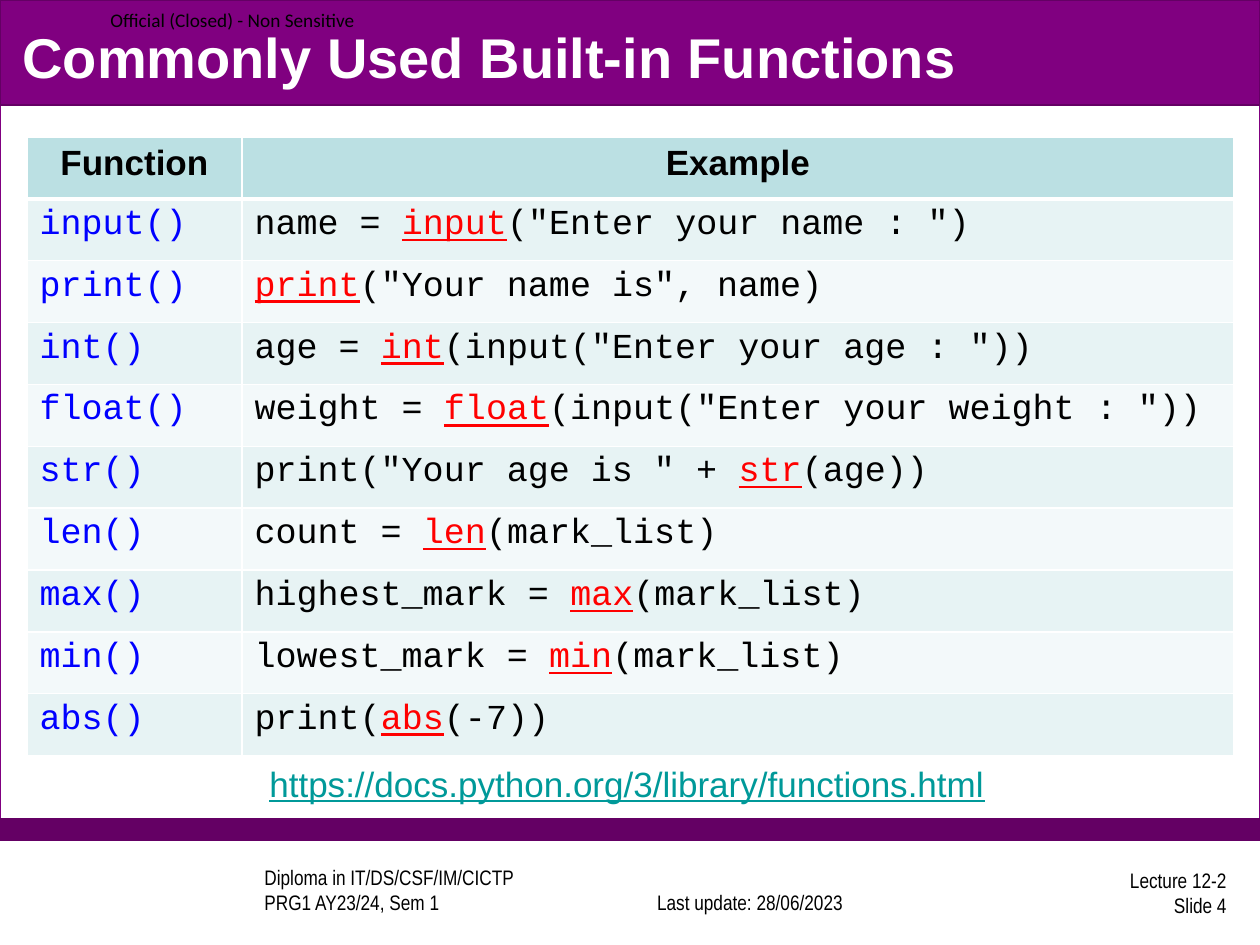
from lxml import etree
from pptx import Presentation
from pptx.dml.color import RGBColor
from pptx.enum.shapes import MSO_SHAPE
from pptx.enum.text import MSO_ANCHOR, PP_ALIGN
from pptx.oxml.ns import qn
from pptx.util import Emu, Pt

RECTANGLE = MSO_SHAPE.RECTANGLE
LEFT, CENTER, RIGHT = PP_ALIGN.LEFT, PP_ALIGN.CENTER, PP_ALIGN.RIGHT
TOP, MIDDLE, BOTTOM = MSO_ANCHOR.TOP, MSO_ANCHOR.MIDDLE, MSO_ANCHOR.BOTTOM
SCALE = 914400 / 126

PURPLE, DARK_PURPLE = "800080", "640064"
WHITE, BLACK, BLUE, RED, TEAL = "FFFFFF", "000000", "0000FF", "FF0000", "009999"
HEADER_FILL, BAND_FILLS = "BBE0E3", ("E7F3F4", "F3F9FA")

FUNCTIONS = [
    ("input", 'name = input("Enter your name : ")'),
    ("print", 'print("Your name is", name)'),
    ("int", 'age = int(input("Enter your age : "))'),
    ("float", 'weight = float(input("Enter your weight : "))'),
    ("str", 'print("Your age is " + str(age))'),
    ("len", "count = len(mark_list)"),
    ("max", "highest_mark = max(mark_list)"),
    ("min", "lowest_mark = min(mark_list)"),
    ("abs", "print(abs(-7))"),
]


def px(length):
    """Turn pixels into EMU."""
    return Emu(round(length * SCALE))


def color(hex_string):
    """Turn a hex string into a colour."""
    return RGBColor.from_string(hex_string)


def format_font(font, name, size, hex_string, bold=False, underline=False):
    """Set the look of a font."""
    font.name = name
    font.size = Pt(size)
    font.bold = bold
    font.underline = underline
    font.color.rgb = color(hex_string)


def add_band(slide, box, fill, line):
    """Draw a plain rectangle and return it."""
    shape = slide.shapes.add_shape(RECTANGLE, *map(px, box))
    shape.shadow.inherit = False
    shape.fill.solid()
    shape.fill.fore_color.rgb = color(fill)
    shape.line.color.rgb = color(line)
    shape.line.width = Pt(0.75)
    return shape


def add_text(slide, box, text, name, size, hex_string, align=LEFT, anchor=MIDDLE,
             bold=False, underline=False):
    """Place one paragraph of text in a box."""
    frame = slide.shapes.add_textbox(*map(px, box)).text_frame
    frame.word_wrap = True
    frame.vertical_anchor = anchor
    paragraph = frame.paragraphs[0]
    paragraph.text = text
    paragraph.alignment = align
    for run in paragraph.runs:
        format_font(run.font, name, size, hex_string, bold, underline)


def add_frame(slide, left, top, width, height):
    """Draw the outlined page area and the bar along its foot."""
    page = add_band(slide, (left, top, width, height), WHITE, PURPLE)
    fill_color = page.fill._xPr.find(qn("a:solidFill"))[0]
    etree.SubElement(fill_color, qn("a:alpha"), val="90000")
    add_band(slide, (left, top + height - 21, width, 21), DARK_PURPLE, DARK_PURPLE)


def add_header(slide, left, top, width, height):
    """Draw the title bar with its classification label."""
    add_band(slide, (left, top, width, height), PURPLE, DARK_PURPLE)
    add_text(slide, (left + 98, top, 300, 39), "Official (Closed) - Non Sensitive",
             "Calibri", 11, BLACK)
    add_text(slide, (left + 10, top + 17, width - 21, 78),
             "Commonly Used Built-in Functions", "Arial", 32, WHITE, bold=True)


def add_footer(slide, left, top):
    """Place the course, date and page notes."""
    notes = [
        (252, 2, 336, "Diploma in IT/DS/CSF/IM/CICTP\nPRG1 AY23/24, Sem 1", LEFT, BOTTOM),
        (619, 2, 262, "Last update: 28/06/2023", CENTER, BOTTOM),
        (976, 0, 263, "Lecture 12-2\nSlide 4", RIGHT, MIDDLE),
    ]
    for x, y, width, text, align, anchor in notes:
        add_text(slide, (left + x, top + y, width, 53), text, "Arial Narrow", 12,
                 BLACK, align, anchor)


def style_cell(cell, fill, top_width, bottom_width):
    """Give a cell white borders and a fill."""
    properties = cell._tc.get_or_add_tcPr()
    for side, width in (("L", 1), ("R", 1), ("T", top_width), ("B", bottom_width)):
        border = etree.SubElement(properties, qn(f"a:ln{side}"), w=str(Pt(width)))
        solid = etree.SubElement(border, qn("a:solidFill"))
        etree.SubElement(solid, qn("a:srgbClr"), val=WHITE)
    cell.fill.solid()
    cell.fill.fore_color.rgb = color(fill)


def fill_cell(cell, parts, name, align=LEFT, bold=False):
    """Write coloured parts into a cell, underlining the red ones."""
    paragraph = cell.text_frame.paragraphs[0]
    paragraph.alignment = align
    paragraph.space_before = paragraph.space_after = Pt(3)
    for text, hex_string in parts:
        if text:
            run = paragraph.add_run()
            run.text = text
            format_font(run.font, name, 20, hex_string, bold, hex_string == RED)


def add_function_table(slide, left, top, width, height):
    """Build the table of functions and their examples."""
    table = slide.shapes.add_table(len(FUNCTIONS) + 1, 2, *map(px, (left, top, width, height))).table
    table.horz_banding = False
    table.columns[0].width = px(215)
    table.columns[1].width = px(width - 215)
    for column, heading in enumerate(("Function", "Example")):
        cell = table.cell(0, column)
        style_cell(cell, HEADER_FILL, 1, 3)
        fill_cell(cell, [(heading, BLACK)], "Arial", CENTER, True)
    for row, (function, example) in enumerate(FUNCTIONS, 1):
        before, called, after = example.partition(function)
        contents = ([(f"{function}()", BLUE)],
                    [(before, BLACK), (called, RED), (after, BLACK)])
        for column, parts in enumerate(contents):
            cell = table.cell(row, column)
            style_cell(cell, BAND_FILLS[(row - 1) % 2], 3 if row == 1 else 1, 1)
            fill_cell(cell, parts, "Courier New")


def main():
    """Build and save the slide."""
    presentation = Presentation()
    presentation.slide_width, presentation.slide_height = px(1260), px(945)
    slide = presentation.slides.add_slide(presentation.slide_layouts[6])
    add_frame(slide, 0, 0, 1260, 840)
    add_header(slide, 0, 0, 1260, 105)
    add_footer(slide, 0, 866)
    add_function_table(slide, 27, 137, 1207, 619)
    add_text(slide, (257, 756, 746, 55), "https://docs.python.org/3/library/functions.html",
             "Arial", 20, TEAL, anchor=TOP, underline=True)
    presentation.save("out.pptx")


if __name__ == "__main__":
    main()
